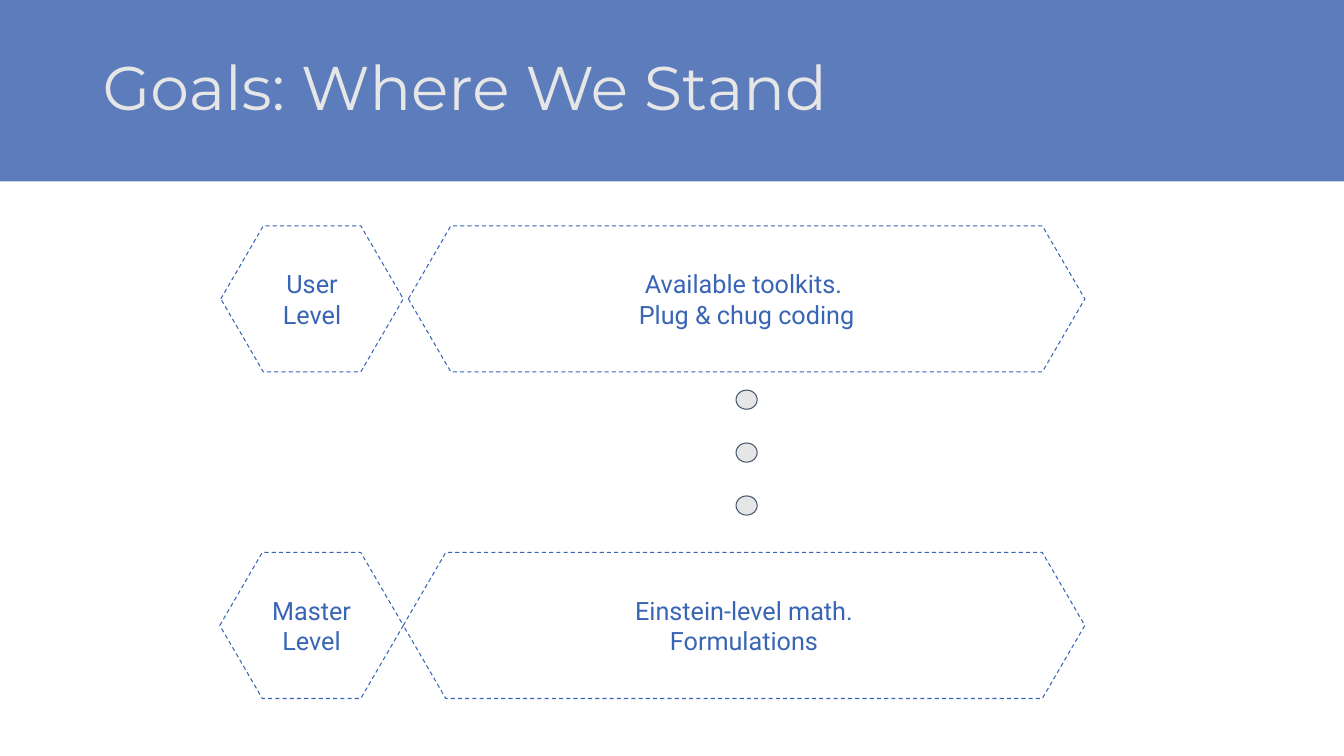
from dataclasses import dataclass

from lxml import etree
from pptx import Presentation
from pptx.dml.color import RGBColor
from pptx.enum import dml, shapes, text
from pptx.oxml.ns import qn
from pptx.util import Inches, Pt


@dataclass(frozen=True)
class Theme:
    banner: str = "4267B2"
    banner_alpha: int = 86
    pale: str = "E7E6E6"
    accent: str = "3865B4"
    dot_line: str = "44546A"
    title_font: str = "Montserrat"
    body_font: str = "Roboto"
    title_size: int = 44
    body_size: int = 18
    line_width: float = 0.75


THEME = Theme()
WIDTH, HEIGHT = 13.33, 7.5


def rgb(code):
    return RGBColor.from_string(code)


def add_shape(slide, kind, box, fill=None, line=None):
    shape = slide.shapes.add_shape(kind, *map(Inches, box))
    shape.shadow.inherit = False
    if fill:
        shape.fill.solid()
        shape.fill.fore_color.rgb = rgb(fill)
    else:
        shape.fill.background()
    if line:
        shape.line.color.rgb = rgb(line)
        shape.line.width = Pt(THEME.line_width)
    else:
        shape.line.fill.background()
    return shape


def write(shape, words, font, size, color, align, margin_y):
    frame = shape.text_frame
    frame.text = words
    frame.word_wrap = True
    frame.vertical_anchor = text.MSO_ANCHOR.MIDDLE
    frame.margin_left = frame.margin_right = Inches(0.1)
    frame.margin_top = frame.margin_bottom = Inches(margin_y)
    for paragraph in frame.paragraphs:
        paragraph.alignment = align
        for run in paragraph.runs:
            run.font.name = font
            run.font.size = Pt(size)
            run.font.color.rgb = rgb(color)


def add_banner(slide, box, heading):
    left, top, width, height = box
    band = add_shape(slide, shapes.MSO_SHAPE.RECTANGLE, box, THEME.banner)
    color = band.fill._xPr.find(qn("a:solidFill"))[0]
    etree.SubElement(color, qn("a:alpha"), val=str(THEME.banner_alpha * 1000))

    title = slide.shapes.add_textbox(
        Inches(left + 0.92), Inches(top + height * 0.1),
        Inches(width - 2.05), Inches(height * 0.8))
    write(title, heading, THEME.title_font, THEME.title_size, THEME.pale,
          text.PP_ALIGN.LEFT, 0.05)
    title.text_frame.paragraphs[0].line_spacing = 0.9


def add_level(slide, box, label_width, gap, label, description):
    """One row: a level's hexagon and the wide hexagon that describes it."""
    left, top, width, height = box
    offset = label_width + gap
    cells = ((left, label_width, label),
             (left + offset, width - offset, description))
    for cell_left, cell_width, words in cells:
        hexagon = add_shape(slide, shapes.MSO_SHAPE.HEXAGON,
                            (cell_left, top, cell_width, height),
                            line=THEME.accent)
        hexagon.adjustments[0] = 0.291
        hexagon.line.dash_style = dml.MSO_LINE.DASH
        write(hexagon, words, THEME.body_font, THEME.body_size, THEME.accent,
              text.PP_ALIGN.CENTER, 0.1)


def add_dots(slide, box, count):
    """Equal dots spread from the top to the bottom of the box."""
    left, top, width, height = box
    dot_height = 0.19
    step = (height - dot_height) / (count - 1)
    for index in range(count):
        add_shape(slide, shapes.MSO_SHAPE.OVAL,
                  (left, top + index * step, width, dot_height),
                  THEME.pale, THEME.dot_line)


def main():
    deck = Presentation()
    deck.slide_width, deck.slide_height = Inches(WIDTH), Inches(HEIGHT)
    slide = deck.slides.add_slide(deck.slide_layouts[6])

    # Title band
    add_banner(slide, (0, 0, WIDTH, HEIGHT * 0.24), "Goals: Where We Stand")

    # First and last level, with the steps between them
    add_level(slide, (2.19, 2.24, 8.57, 1.45), 1.81, 0.05,
              "User Level", "Available toolkits. \nPlug & chug coding")
    add_dots(slide, (7.3, 3.87, 0.21, 1.24), 3)
    add_level(slide, (2.18, 5.48, 8.58, 1.45), 1.82, 0,
              "Master Level", "Einstein-level math.\nFormulations")

    deck.save("out.pptx")


if __name__ == "__main__":
    main()
